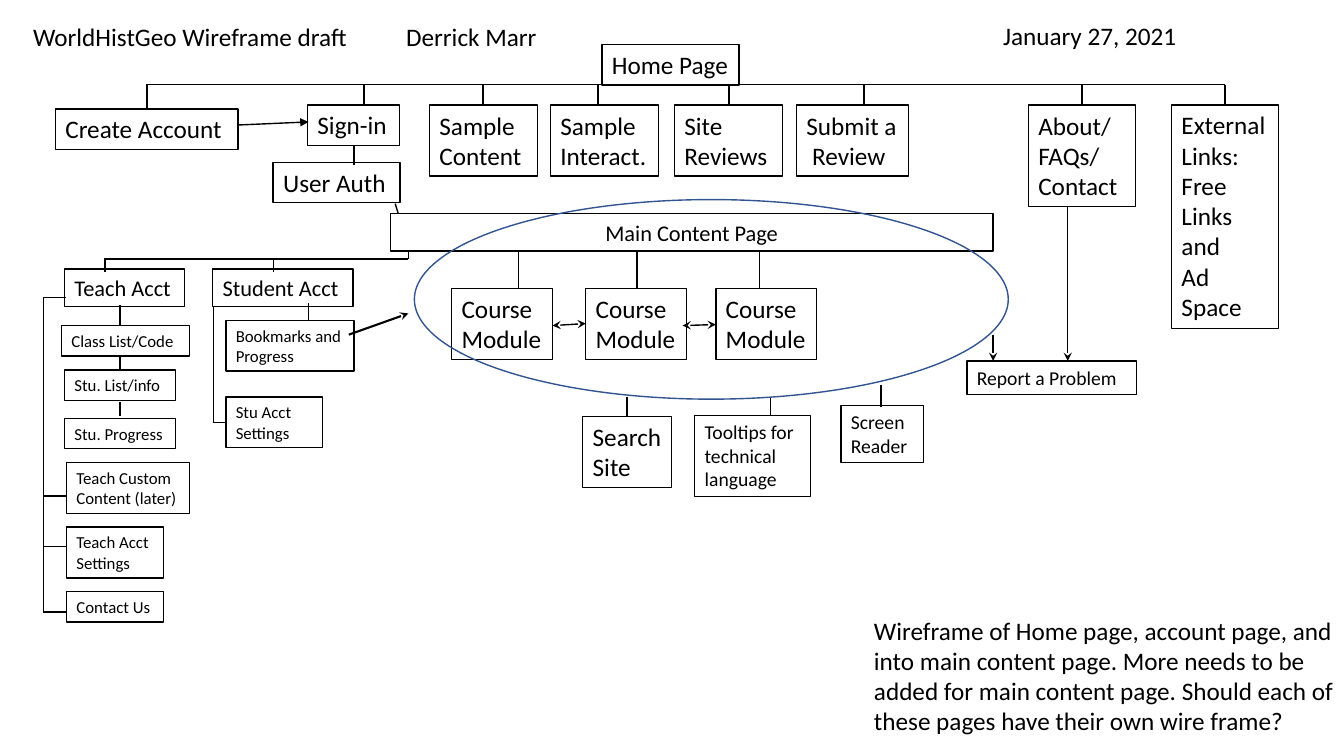
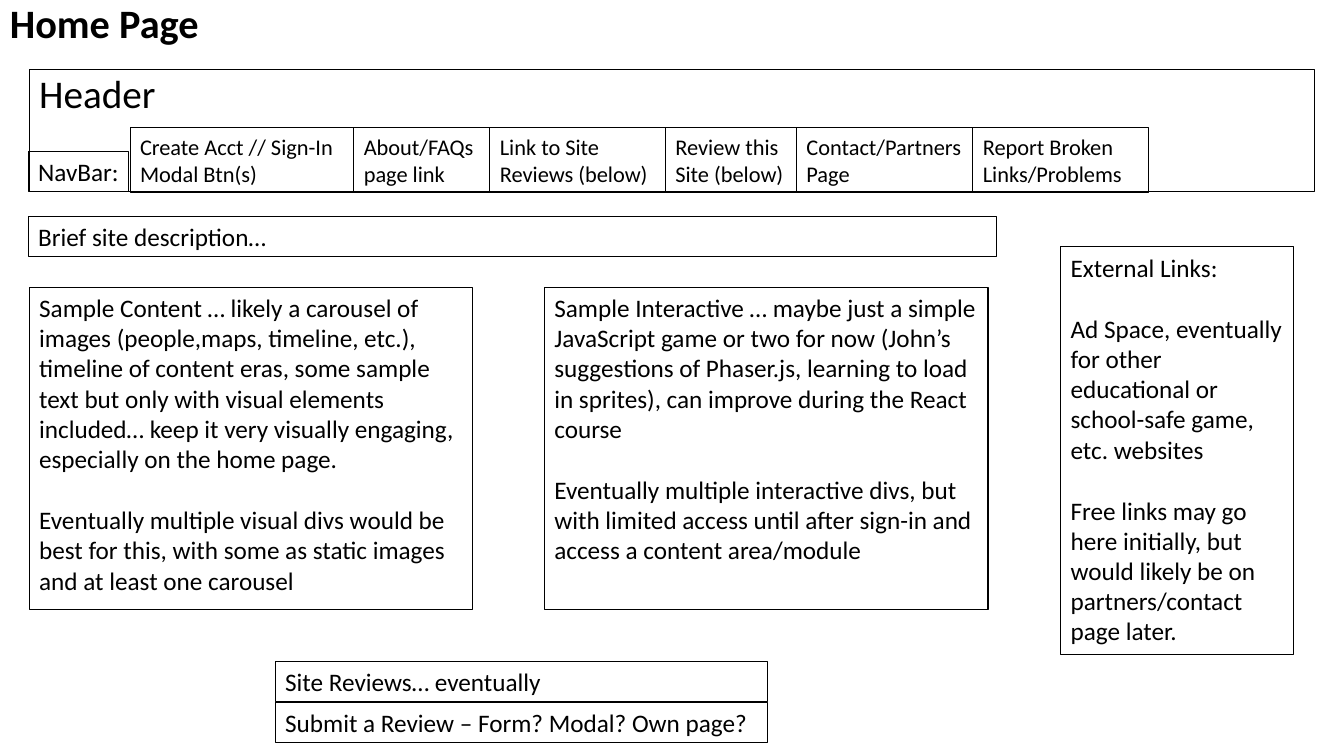
"""Builds a two-slide website wireframe: the site map and the home page."""
from itertools import accumulate

from lxml import etree
from pptx import Presentation, util as u
from pptx.dml.color import RGBColor
from pptx.enum import shapes, text
from pptx.oxml.ns import qn

BLACK = RGBColor(0x00, 0x00, 0x00)
BLUE = RGBColor(0x32, 0x54, 0x91)
FONT = "Calibri"
CM_PER_UNIT = 2.54
LINE_HEIGHT = 1.21

MAP_LABELS = [
    (0.23, 0.16, 3.6, 1, "WorldHistGeo Wireframe draft"),
    (3.93, 0.16, 1.59, 1, "Derrick Marr"),
    (9.85, 0.15, 2.84, 1, "January 27, 2021"),
    (8.57, 6.05, 4.76, 4,
     "Wireframe of Home page, account page, and into main content page. "
     "More needs to be added for main content page. Should each of these "
     "pages have their own wire frame?"),
]
MAP_BOXES = {
    18: [
        (5.97, 0.44, 1.36, 1, "Home Page"),
        (0.55, 1.08, 1.81, 1, "Create Account"),
        (3.05, 1.04, 0.91, 1, "Sign-in"),
        (2.71, 1.61, 1.26, 1, "User Auth"),
        (4.26, 1.04, 1.07, 2, "Sample Content"),
        (5.46, 1.04, 1.07, 2, "Sample Interact."),
        (6.69, 1.04, 1.07, 2, "Site Reviews"),
        (7.9, 1.04, 1.11, 2, "Submit a\v Review"),
        (10.2, 1.04, 1.06, 3, "About/ FAQs/ Contact"),
        (11.62, 1.04, 1.06, 7, "External Links: Free Links and\vAd Space"),
        (4.48, 2.86, 1, 2, "Course Module"),
        (5.81, 2.86, 1, 2, "Course Module"),
        (7.1, 2.86, 1, 2, "Course Module"),
        (5.78, 4.13, 0.88, 2, "Search Site"),
    ],
    16: [
        (0.64, 2.67, 1.19, 1, "Teach Acct"),
        (2.11, 2.67, 1.39, 1, "Student Acct"),
    ],
    14: [
        (9.59, 3.58, 1.68, 1, "Report a Problem"),
        (8.34, 4.02, 0.82, 2, "Screen Reader"),
        (6.89, 4.12, 1.15, 3, "Tooltips for technical language"),
    ],
    12: [
        (0.61, 3.23, 1.27, 1, "Class List/Code"),
        (0.64, 3.67, 1.1, 1, "Stu. List/info"),
        (0.64, 4.15, 1.1, 1, "Stu. Progress"),
        (0.66, 4.59, 1.22, 2, "Teach Custom Content (later)"),
        (0.66, 5.23, 0.96, 2, "Teach Acct Settings"),
        (0.66, 5.87, 0.96, 1, "Contact Us"),
        (2.24, 3.18, 1.27, 2, "Bookmarks and Progress"),
        (2.24, 3.94, 0.96, 2, "Stu Acct Settings"),
    ],
}
MAIN_CONTENT = (3.87, 2.12, 5.98, 0.37)
COURSE_AREA = (4.11, 1.98, 5.89, 1.98)

DROPS = [
    (0.84, 1.08, [1.46]),
    (0.84, 1.04, [3.61, 4.79, 5.93, 7.23, 8.57, 10.73, 12.15]),
    (1.44, 1.64, [3.51]),
    (2.57, 2.7, [1.04, 2.71]),
    (2.5, 2.57, [4.05]),
    (2.5, 2.86, [5.14, 6.32, 7.53]),
    (3.03, 3.23, [1.19]),
    (3.53, 3.67, [1.19]),
    (3.99, 4.13, [1.19]),
    (3.01, 3.18, [3.06]),
    (3.04, 4.19, [2.12]),
    (2.95, 6.07, [0.43]),
    (3.94, 4.13, [6.22, 7.64]),
    (3.82, 4.04, [8.74]),
]
RUNGS = [
    (1.45, 7.19, [0.84]),
    (6.85, 12.15, [0.84]),
    (1.03, 4.05, [2.57]),
    (0.43, 0.65, [2.95, 4.92, 5.42, 6.07]),
    (2.11, 2.23, [4.19]),
]
LINKS = [
    (3.92, 2.02, 3.95, 2.12, 1, None, None),
    (2.37, 1.24, 3.06, 1.21, 1, None, "triangle"),
    (9.85, 3.32, 9.85, 3.58, 1, None, "stealth"),
    (10.59, 2.05, 10.59, 3.58, 1, None, "stealth"),
    (3.46, 3.32, 4.05, 3.11, 1.5, None, "stealth"),
    (5.48, 3.23, 5.81, 3.21, 1, "stealth", "stealth"),
    (6.77, 3.23, 7.1, 3.22, 1, "stealth", "stealth"),
]

PAGE_TITLE = "Home Page"
NAV_LEFT, NAV_TOP, NAV_HEIGHT = 1.29, 1.27, 0.64
NAV_ITEMS = [
    (2.22, "Create Acct // Sign-In Modal Btn(s)"),
    (1.35, "About/FAQs page link"),
    (1.74, "Link to Site Reviews (below)"),
    (1.3, "Review this Site (below)"),
    (1.75, "Contact/Partners Page"),
    (1.74, "Report Broken Links/Problems"),
]
PAGE_BOXES = [
    (0.28, 1.5, 1, 0.4, ["NavBar:"]),
    (0.28, 2.15, 9.6, 0.4, ["Brief site description…"]),
    (0.29, 2.85, 4.4, 3.2, [
        "Sample Content … likely a carousel of images (people,maps, timeline, "
        "etc.), timeline of content eras, some sample text but only with visual "
        "elements included… keep it very visually engaging, especially on the "
        "home page.",
        "Eventually multiple visual divs would be best for this, with some as "
        "static images and at least one carousel"]),
    (5.4, 2.85, 4.4, 3.2, [
        "Sample Interactive … maybe just a simple JavaScript game or two for "
        "now (John’s suggestions of Phaser.js, learning to load in sprites), "
        "can improve during the React course",
        "Eventually multiple interactive divs, but with limited access until "
        "after sign-in and access a content area/module"]),
    (10.52, 2.45, 2.31, 4.04, [
        "External Links:",
        "Ad Space, eventually for other educational or school-safe game, etc. "
        "websites",
        "Free links may go here initially, but would likely be on "
        "partners/contact page later."]),
    (2.73, 6.56, 4.88, 0.4, ["Site Reviews… eventually"]),
    (2.73, 6.97, 4.88, 0.4, ["Submit a Review – Form? Modal? Own page?"]),
]


def lengths(*values):
    return [u.Cm(value * CM_PER_UNIT) for value in values]


def text_height(size, lines):
    return 0.1 + lines * size * LINE_HEIGHT / 72


def write(shape, paragraphs, size, align=text.PP_ALIGN.LEFT, bold=False,
          anchor=text.MSO_ANCHOR.TOP, spacing=None):
    frame = shape.text_frame
    frame.word_wrap = True
    frame.vertical_anchor = anchor
    for index, words in enumerate(paragraphs):
        para = frame.add_paragraph() if index else frame.paragraphs[0]
        para.text = words
        para.alignment = align
        para.line_spacing = spacing
        if index:
            para.space_before = u.Pt(size * 1.22)
        para.font.name, para.font.size = FONT, u.Pt(size)
        para.font.bold, para.font.color.rgb = bold, BLACK


def add_outline(page, place, kind=shapes.MSO_SHAPE.RECTANGLE, color=BLACK, width=1):
    shape = page.shapes.add_shape(kind, *lengths(*place))
    shape.shadow.inherit = False
    shape.fill.background()
    shape.line.color.rgb = color
    shape.line.width = u.Pt(width)
    return shape


def add_line(page, x1, y1, x2, y2, width=1, head=None, tail=None):
    line = page.shapes.add_connector(
        shapes.MSO_CONNECTOR.STRAIGHT, *lengths(x1, y1, x2, y2))
    line.line.color.rgb = BLACK
    line.line.width = u.Pt(width)
    outline = line.line._get_or_add_ln()
    for tag, style in (("a:headEnd", head), ("a:tailEnd", tail)):
        if style:
            etree.SubElement(outline, qn(tag), type=style)
    etree.SubElement(line._element.spPr, qn("a:effectLst"))


def build_site_map(page):
    for size, boxes in MAP_BOXES.items():
        for left, top, width, lines, words in boxes:
            box = add_outline(page, (left, top, width, text_height(size, lines)))
            write(box, [words], size)
    write(add_outline(page, MAIN_CONTENT), ["Main Content Page"], 16,
          text.PP_ALIGN.CENTER)
    for top, bottom, columns in DROPS:
        for x in columns:
            add_line(page, x, top, x, bottom)
    for left, right, rows in RUNGS:
        for y in rows:
            add_line(page, left, y, right, y)
    for link in LINKS:
        add_line(page, *link)
    add_outline(page, COURSE_AREA, shapes.MSO_SHAPE.OVAL, BLUE)
    for left, top, width, lines, words in MAP_LABELS:
        label = page.shapes.add_textbox(
            *lengths(left, top, width, text_height(18, lines)))
        write(label, [words], 18)


def build_home_page(page):
    title = page.shapes.add_textbox(*lengths(0, 0, 11.07, 0.5))
    write(title, [PAGE_TITLE], 28.8, bold=True,
          anchor=text.MSO_ANCHOR.MIDDLE, spacing=0.9)
    header = add_outline(page, (0.29, 0.69, 12.75, 1.21))
    write(header, ["Header"], 28, spacing=0.9)
    widths = [width for width, words in NAV_ITEMS]
    for left, (width, words) in zip(accumulate(widths, initial=NAV_LEFT), NAV_ITEMS):
        box = add_outline(page, (left, NAV_TOP, width, NAV_HEIGHT), width=0.75)
        write(box, [words], 16)
    for *place, paragraphs in PAGE_BOXES:
        write(add_outline(page, place, width=0.75), paragraphs, 18)


deck = Presentation()
deck.slide_width, deck.slide_height = lengths(13.33, 7.5)
for build in (build_site_map, build_home_page):
    build(deck.slides.add_slide(deck.slide_layouts[6]))
deck.save("out.pptx")
